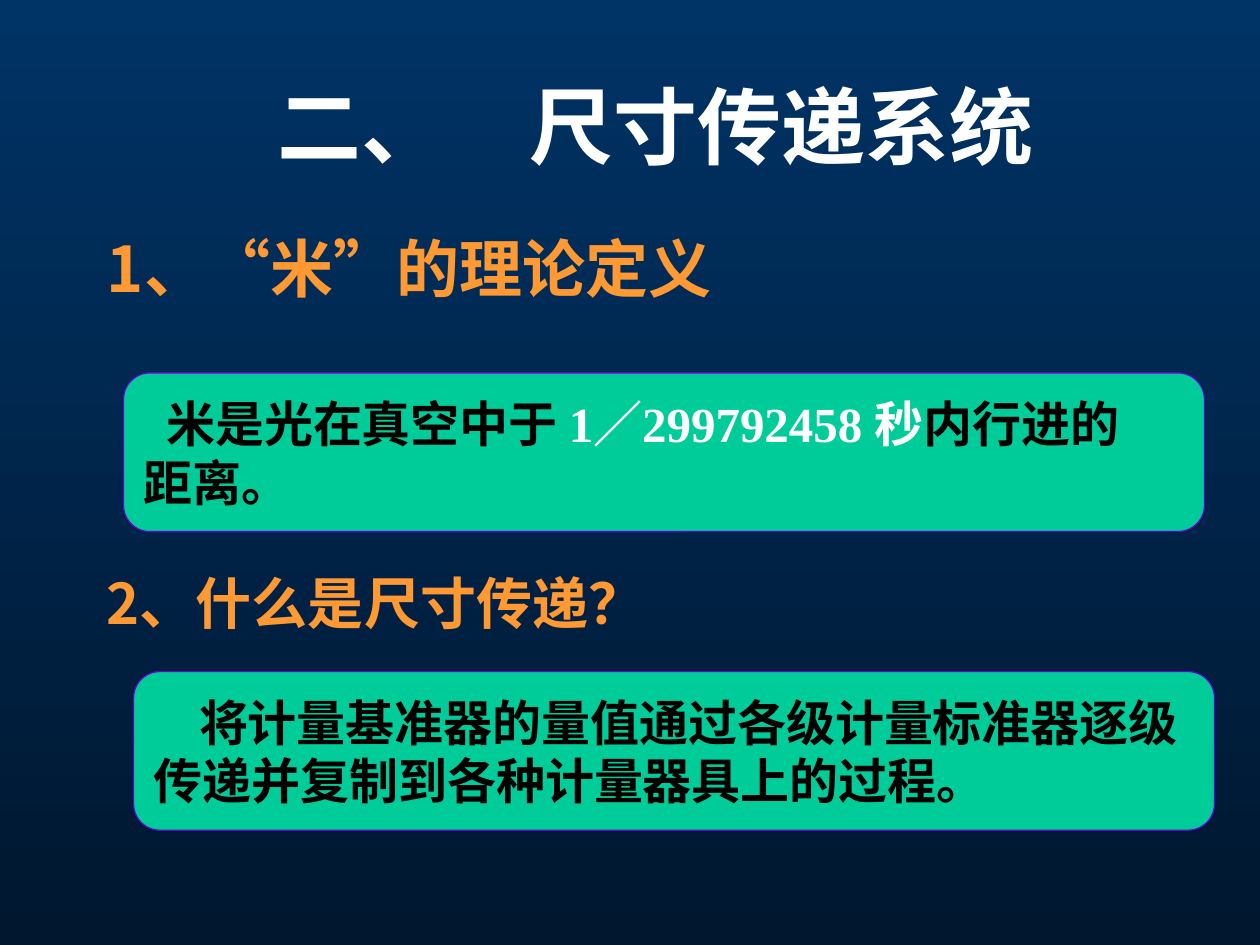
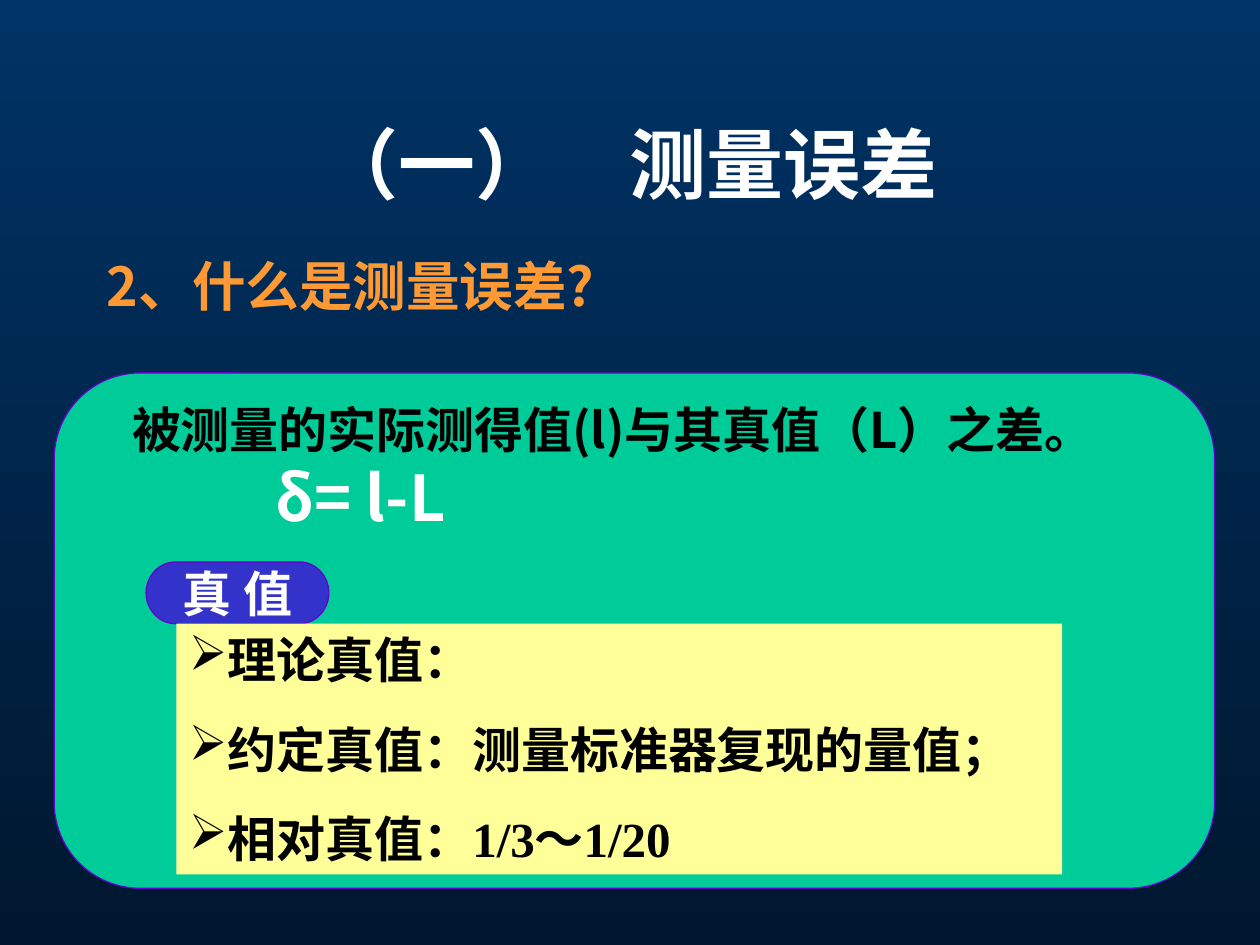
from lxml.etree import SubElement
from pptx import Presentation
from pptx.dml.color import RGBColor
from pptx.enum.shapes import MSO_SHAPE
from pptx.enum.text import MSO_ANCHOR, MSO_AUTO_SIZE, PP_ALIGN
from pptx.oxml.ns import qn
from pptx.util import Inches, Pt

NAVY = RGBColor(0x00, 0x33, 0x66)
MIDNIGHT = RGBColor(0x00, 0x17, 0x2F)
WHITE = RGBColor(0xFF, 0xFF, 0xFF)
BLACK = RGBColor(0x00, 0x00, 0x00)
ORANGE = RGBColor(0xFF, 0x99, 0x33)
GREEN = RGBColor(0x00, 0xCC, 0x99)
PURPLE = RGBColor(0x66, 0x00, 0xCC)
BLUE = RGBColor(0x33, 0x33, 0xCC)
YELLOW = RGBColor(0xFF, 0xFF, 0x99)
SANS = "Noto Sans CJK SC"
SERIF = "Times New Roman"

deck = Presentation()
deck.slide_width, deck.slide_height = Inches(10), Inches(7.5)
COLUMN = deck.slide_width / 10
ROW = deck.slide_height / 7.5
MARGIN = 0.75
TEXT_WIDTH = 8.5


def add_box(page, place, kind=None, fill=None, line=None):
    """Add a panel, or a text box if no kind is given; place is in columns and rows."""
    left, top, width, height = place
    frame = [int(n) for n in (left * COLUMN, top * ROW, width * COLUMN, height * ROW)]
    if kind is None:
        box = page.shapes.add_textbox(*frame)
    else:
        box = page.shapes.add_shape(kind, *frame)
        box.shadow.inherit = False
        box.fill.solid()
        box.fill.fore_color.rgb = fill
        if line is None:
            box.line.fill.background()
        else:
            box.line.color.rgb = line
            box.line.width = Pt(0.75)
    box.text_frame.word_wrap = True
    return box


def write(paragraph, size, spans, indent=0, align=PP_ALIGN.LEFT):
    """Fill a paragraph with (text, font, colour) spans in bold."""
    paragraph.alignment = align
    if indent:
        paragraph._p.get_or_add_pPr().set("indent", str(Inches(indent)))
    paragraph.font.size = Pt(size)
    paragraph.font.bold = True
    for text, name, colour in spans:
        span = paragraph.add_run()
        span.text = text
        font = paragraph.font if len(spans) == 1 else span.font
        font.name = name
        font.color.rgb = colour
        SubElement(font._rPr, qn("a:ea"), typeface=SANS)


# Shared background
background = deck.slide_master.background.fill
background.gradient()
background.gradient_angle = 270
for stop, colour in zip(background.gradient_stops, (NAVY, MIDNIGHT)):
    stop.color.rgb = colour
for stop, position in zip(background.gradient_stops, (0, 1)):
    stop.position = position

# Titles and numbered headings
outline = [
    ("二、　尺寸传递系统", 48, 0.37, 8.9, [
        ("1、“米”的理论定义", 36, 1.77, 1),
        ("2、什么是尺寸传递？", 32, 4.46, 1)]),
    ("（一）　测量误差", 44, 0.67, TEXT_WIDTH, [
        ("2、什么是测量误差?", 30.6, 2.02, 0.9)]),
]
pages = []
for title_text, title_size, title_top, title_width, headings in outline:
    page = deck.slides.add_slide(deck.slide_layouts[5])
    pages.append(page)
    title = page.shapes.title
    title.left, title.top = int(MARGIN * COLUMN), int(title_top * ROW)
    title.width, title.height = int(title_width * COLUMN), int(1.25 * ROW)
    title.text_frame.auto_size = MSO_AUTO_SIZE.NONE
    title.text_frame.vertical_anchor = MSO_ANCHOR.MIDDLE
    write(title.text_frame.paragraphs[0], title_size,
          [(title_text, SERIF, WHITE)], align=PP_ALIGN.CENTER)
    for text, size, top, spacing in headings:
        heading = add_box(page, (MARGIN, top, TEXT_WIDTH, size / 50))
        paragraph = heading.text_frame.paragraphs[0]
        paragraph.line_spacing = spacing
        write(paragraph, size, [(text, SANS, ORANGE)])
transfer_page, error_page = pages

# Definitions of the metre and of dimension transfer
definitions = [
    (1.06, 5.33, 0.36,
     [("将计量基准器的量值通过各级计量标准器逐级", SERIF, BLACK)],
     [("传递并复制到各种计量器具上的过程。", SERIF, BLACK)]),
    (0.98, 2.96, 0.18,
     [("米是光在真空中于 ", SANS, BLACK),
      ("1／299792458 秒", SERIF, WHITE),
      ("内行进的", SANS, BLACK)],
     [("距离。", SANS, BLACK)]),
]
for left, top, indent, first_line, second_line in definitions:
    panel = add_box(transfer_page, (left, top, 8.58, 1.26),
                    MSO_SHAPE.ROUNDED_RECTANGLE, GREEN, PURPLE)
    panel.text_frame.vertical_anchor = MSO_ANCHOR.MIDDLE
    write(panel.text_frame.paragraphs[0], 28, first_line, indent)
    write(panel.text_frame.add_paragraph(), 28, second_line)

# Measurement error and its formula
add_box(error_page, (0.43, 2.96, 9.21, 4.09),
        MSO_SHAPE.FLOWCHART_ALTERNATE_PROCESS, GREEN, PURPLE)
formula = add_box(error_page, (0.59, 3.12, 8.73, 1.17)).text_frame
write(formula.paragraphs[0], 28,
      [("被测量的实际测得值(l)与其真值（L）之差。", SANS, BLACK)], 0.36)
write(formula.add_paragraph(), 36, [("δ= l-L", SANS, WHITE)], 1.5)

# Kinds of true value
label = add_box(error_page, (1.16, 4.46, 1.45, 0.49),
                MSO_SHAPE.FLOWCHART_TERMINATOR, BLUE, PURPLE)
label.text_frame.word_wrap = False
label.text_frame.vertical_anchor = MSO_ANCHOR.MIDDLE
write(label.text_frame.paragraphs[0], 28, [("真 值", SANS, WHITE)],
      align=PP_ALIGN.CENTER)

true_values = add_box(error_page, (1.4, 4.95, 7.03, 1.99),
                      MSO_SHAPE.RECTANGLE, YELLOW).text_frame
true_values.vertical_anchor = MSO_ANCHOR.TOP
for number, text in enumerate(["理论真值：", "约定真值：测量标准器复现的量值；",
                               "相对真值：1/3～1/20"]):
    if number == 0:
        paragraph = true_values.paragraphs[0]
    else:
        paragraph = true_values.add_paragraph()
        paragraph.space_before = Pt(17.5)
    properties = paragraph._p.get_or_add_pPr()
    bullet_colour = SubElement(properties, qn("a:buClr"))
    SubElement(bullet_colour, qn("a:srgbClr"), val=str(BLACK))
    SubElement(properties, qn("a:buChar"), char="➢")
    write(paragraph, 28, [(text, SERIF, BLACK)])

deck.save("out.pptx")
